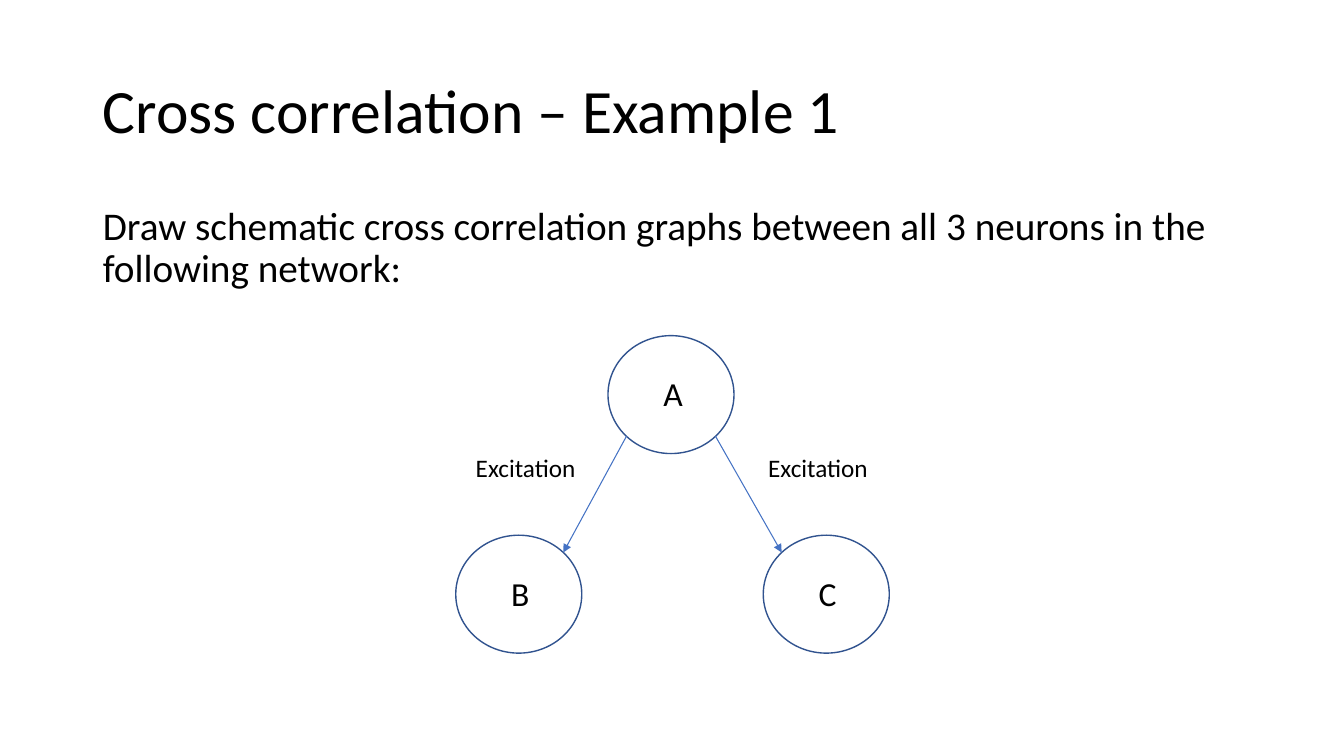
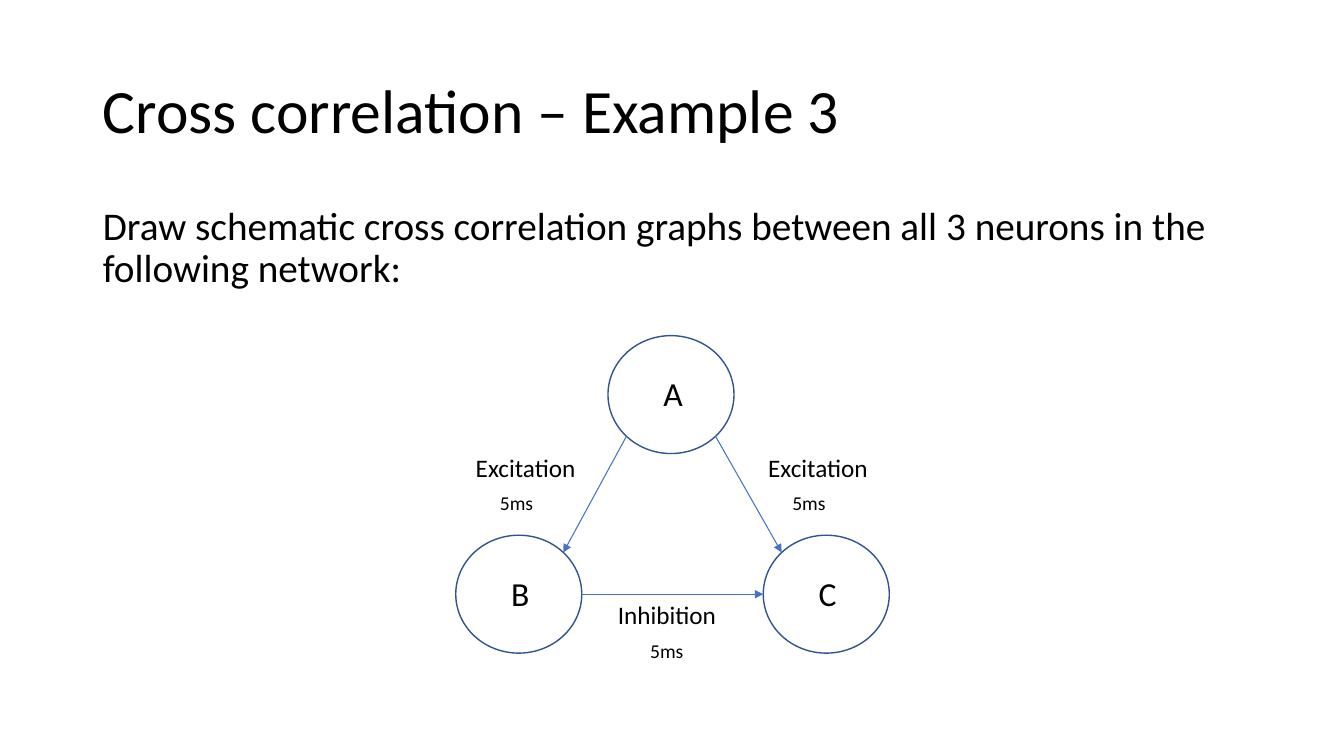
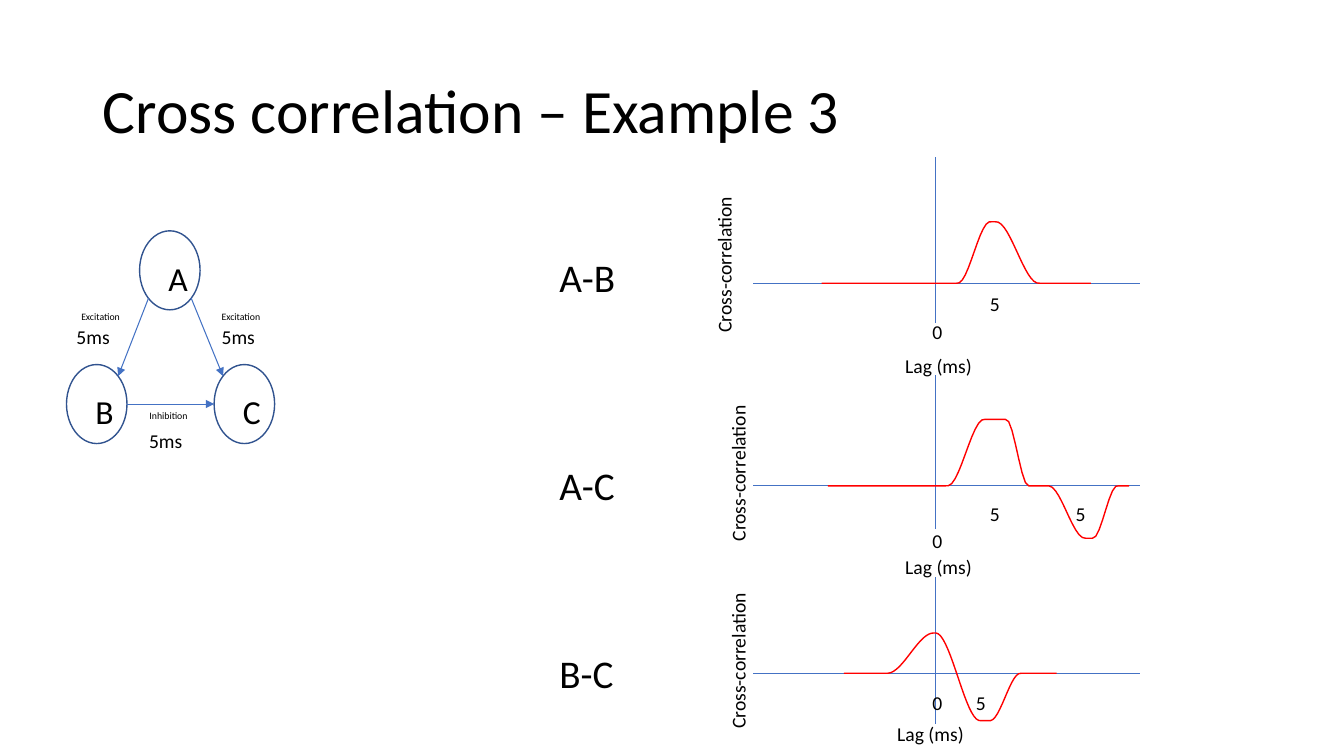
from math import sqrt

from lxml import etree
from pptx import Presentation
from pptx.dml.color import RGBColor
from pptx.enum.shapes import MSO_CONNECTOR, MSO_SHAPE
from pptx.enum.text import MSO_ANCHOR, MSO_AUTO_SIZE, PP_ALIGN
from pptx.oxml.ns import qn
from pptx.util import Inches, Pt

STRAIGHT = MSO_CONNECTOR.STRAIGHT
ELLIPSE = MSO_SHAPE.OVAL
MIDDLE, TOP = MSO_ANCHOR.MIDDLE, MSO_ANCHOR.TOP
LEFT = PP_ALIGN.LEFT
FIT_SHAPE, NO_FIT = MSO_AUTO_SIZE.SHAPE_TO_FIT_TEXT, MSO_AUTO_SIZE.NONE

BLACK = RGBColor(0x00, 0x00, 0x00)
NAVY = RGBColor(0x31, 0x53, 0x8F)
BLUE = RGBColor(0x44, 0x72, 0xC4)
RED = RGBColor(0xFF, 0x00, 0x00)
FONT = "Calibri"
TITLE_AND_BODY, TITLE_ONLY = 1, 5

TASK = ("Draw schematic cross correlation graphs between all 3 neurons "
        "in the following network:")

# Network geometry, relative to the top left corner of the whole network
NODE_WIDTH, NODE_HEIGHT = 1.25, 1.17
NODES = {"A": (1.51, 0), "B": (0, 1.98), "C": (3.05, 1.98)}
LETTER_OFFSET = (0.45, 0.32)
DIAGONAL = sqrt(0.5)
# Start node, end node, direction from the start centre, label, label position
EXCITATIONS = [
    ("A", "B", (-DIAGONAL, DIAGONAL), "Excitation", (0.1, 1.11)),
    ("A", "C", (DIAGONAL, DIAGONAL), "Excitation", (3, 1.11)),
]
INHIBITION = ("B", "C", (1, 0), "Inhibition", (1.51, 2.57))

LARGE = {"origin": (4.52, 3.33), "scale": (1, 1), "label_size": 18}
SMALL = {"origin": (0.66, 2.29), "scale": (0.48, 0.67), "label_size": 7}
LARGE_DELAYS = [(4.86, 4.77), (7.76, 4.77), (6.35, 6.24)]
SMALL_DELAYS = [(0.66, 3.12), (2.1, 3.12), (1.38, 4.15)]

LAG_AXIS_LEFT, LAG_AXIS_RIGHT, ZERO_LAG = 7.47, 11.31, 9.28
CURVE_SEGMENTS = 90
# Each step of a curve: where it starts, where it ends, how far it rises
GRAPHS = [
    {"pair": "A-B", "pair_top": 2.46, "baseline": 2.81, "axis": (1.56, 3.2),
     "axis_label_left": 6.36, "lag_at": (8.88, 3.41), "zero_top": 3.07,
     "five_top": 2.8, "fives": [9.72], "extent": (8.15, 10.82),
     "steps": [(9.5, 9.82, 0.61), (9.88, 10.3, -0.61)]},
    {"pair": "A-C", "pair_top": 4.53, "baseline": 4.82, "axis": (3.72, 5.25),
     "axis_label_left": 6.5, "lag_at": (8.88, 5.41), "zero_top": 5.15,
     "five_top": 4.88, "fives": [9.72, 10.57], "extent": (8.21, 11.2),
     "steps": [(9.4, 9.76, 0.66), (9.98, 10.2, -0.66),
               (10.4, 10.76, -0.52), (10.84, 11.08, 0.52)]},
    {"pair": "B-C", "pair_top": 6.39, "baseline": 6.68, "axis": (5.72, 7.18),
     "axis_label_left": 6.5, "lag_at": (8.8, 7.06), "zero_top": 6.75,
     "five_top": 6.75, "fives": [9.58], "extent": (8.37, 10.48),
     "steps": [(8.8, 9.26, 0.4), (9.28, 9.72, -0.87), (9.82, 10.12, 0.47)]},
]


def set_text(shape, text, size):
    paragraph = shape.text_frame.paragraphs[0]
    paragraph.text = text
    paragraph.font.name = FONT
    paragraph.font.size = Pt(size)
    paragraph.font.color.rgb = BLACK
    return paragraph


def fill_placeholder(placeholder, text, size, top, height, anchor):
    placeholder.left, placeholder.top = Inches(0.92), Inches(top)
    placeholder.width, placeholder.height = Inches(11.5), Inches(height)
    placeholder.text_frame.vertical_anchor = anchor
    placeholder.text_frame.auto_size = NO_FIT
    paragraph = set_text(placeholder, text, size)
    paragraph.alignment = LEFT
    paragraph.line_spacing = 0.9
    paragraph.space_before = Pt(0)
    return paragraph


def add_slide(presentation, title, body=None):
    layout = presentation.slide_layouts[TITLE_AND_BODY if body else TITLE_ONLY]
    slide = presentation.slides.add_slide(layout)
    fill_placeholder(slide.shapes.title, title, 44, 0.4, 1.45, MIDDLE)
    if body:
        paragraph = fill_placeholder(slide.placeholders[1], body, 28, 2, 4.76, TOP)
        properties = paragraph._p.get_or_add_pPr()
        properties.set("marL", "0")
        properties.set("indent", "0")
        bullet = etree.Element(qn("a:buNone"))
        properties.find(qn("a:spcBef")).addnext(bullet)
    return slide


def add_text(slide, text, position, width, size, margin=0.05, rotation=0):
    """Add a text box that is one line high."""
    height = size * 1.22 / 72 + 2 * margin
    box = slide.shapes.add_textbox(*map(Inches, (*position, width, height)))
    box.rotation = rotation
    frame = box.text_frame
    frame.word_wrap = True
    frame.auto_size = FIT_SHAPE
    frame.margin_top = frame.margin_bottom = Inches(margin)
    set_text(box, text, size)


def add_note(slide, text, position, width, rotation=0):
    add_text(slide, text, position, width, 14, 0.1, rotation)


def add_line(slide, start, end, arrow=False):
    line = slide.shapes.add_connector(STRAIGHT, *map(Inches, (*start, *end)))
    line.line.color.rgb = BLUE
    line.line.width = Pt(0.75)
    if arrow:
        etree.SubElement(line.line._get_or_add_ln(), qn("a:tailEnd"), type="triangle")
    etree.SubElement(line._element.spPr, qn("a:effectLst"))


def style_outline(shape, color):
    shape.fill.background()
    shape.line.color.rgb = color
    shape.line.width = Pt(1)
    shape.shadow.inherit = False


def add_network(slide, links, delays, origin, scale, label_size):
    def place(point):
        return tuple(o + s * p for o, s, p in zip(origin, scale, point))

    def rim(node, direction):
        """Point where a ray from the node's centre leaves its ellipse."""
        left, top = NODES[node]
        return place((left + NODE_WIDTH / 2 * (1 + direction[0]),
                      top + NODE_HEIGHT / 2 * (1 + direction[1])))

    node_size = NODE_WIDTH * scale[0], NODE_HEIGHT * scale[1]
    for letter, corner in NODES.items():
        node = slide.shapes.add_shape(
            ELLIPSE, *map(Inches, (*place(corner), *node_size)))
        style_outline(node, NAVY)
        letter_at = [c + o for c, o in zip(corner, LETTER_OFFSET)]
        add_text(slide, letter, place(letter_at), 0.35 * scale[0], 24)
    for start, end, (across, down), label, label_at in links:
        add_line(slide, rim(start, (across, down)), rim(end, (-across, -down)), True)
        add_text(slide, label, place(label_at), node_size[0], label_size)
    for position in delays:
        add_note(slide, "5ms", position, 0.63)


def curve_height(x, steps):
    """Sum of smooth steps, each flat before its start and after its end."""
    height = 0
    for start, end, rise in steps:
        progress = min(max((x - start) / (end - start), 0), 1)
        height += rise * progress ** 2 * (3 - 2 * progress)
    return height


def add_curve(slide, extent, baseline, steps):
    first, last = extent
    points = []
    for index in range(CURVE_SEGMENTS + 1):
        x = first + (last - first) * index / CURVE_SEGMENTS
        points.append((Inches(x), Inches(baseline - curve_height(x, steps))))
    builder = slide.shapes.build_freeform(*points[0])
    builder.add_line_segments(points[1:], close=False)
    style_outline(builder.convert_to_shape(), RED)


def add_graph(slide, graph):
    baseline, pair_top = graph["baseline"], graph["pair_top"]
    axis_top, axis_bottom = graph["axis"]
    add_line(slide, (LAG_AXIS_LEFT, baseline), (LAG_AXIS_RIGHT, baseline))
    add_line(slide, (ZERO_LAG, axis_bottom), (ZERO_LAG, axis_top))
    add_text(slide, graph["pair"], (5.45, pair_top), 0.81, 28)
    add_curve(slide, graph["extent"], baseline, graph["steps"])
    add_note(slide, "0", (9.15, graph["zero_top"]), 0.36)
    for left in graph["fives"]:
        add_note(slide, "5", (left, graph["five_top"]), 0.36)
    add_note(slide, "Lag (ms)", graph["lag_at"], 0.92)
    add_note(slide, "Cross-correlation",
             (graph["axis_label_left"], pair_top - 0.1), 1.64, 270)


def main():
    presentation = Presentation()
    presentation.slide_width = Inches(13.33)
    presentation.slide_height = Inches(7.5)

    slide = add_slide(presentation, "Cross correlation – Example 1", TASK)
    add_network(slide, EXCITATIONS, [], **LARGE)

    all_links = EXCITATIONS + [INHIBITION]
    slide = add_slide(presentation, "Cross correlation – Example 3", TASK)
    add_network(slide, all_links, LARGE_DELAYS, **LARGE)

    slide = add_slide(presentation, "Cross correlation – Example 3")
    add_network(slide, all_links, SMALL_DELAYS, **SMALL)
    for graph in GRAPHS:
        add_graph(slide, graph)

    presentation.save("out.pptx")


if __name__ == "__main__":
    main()
